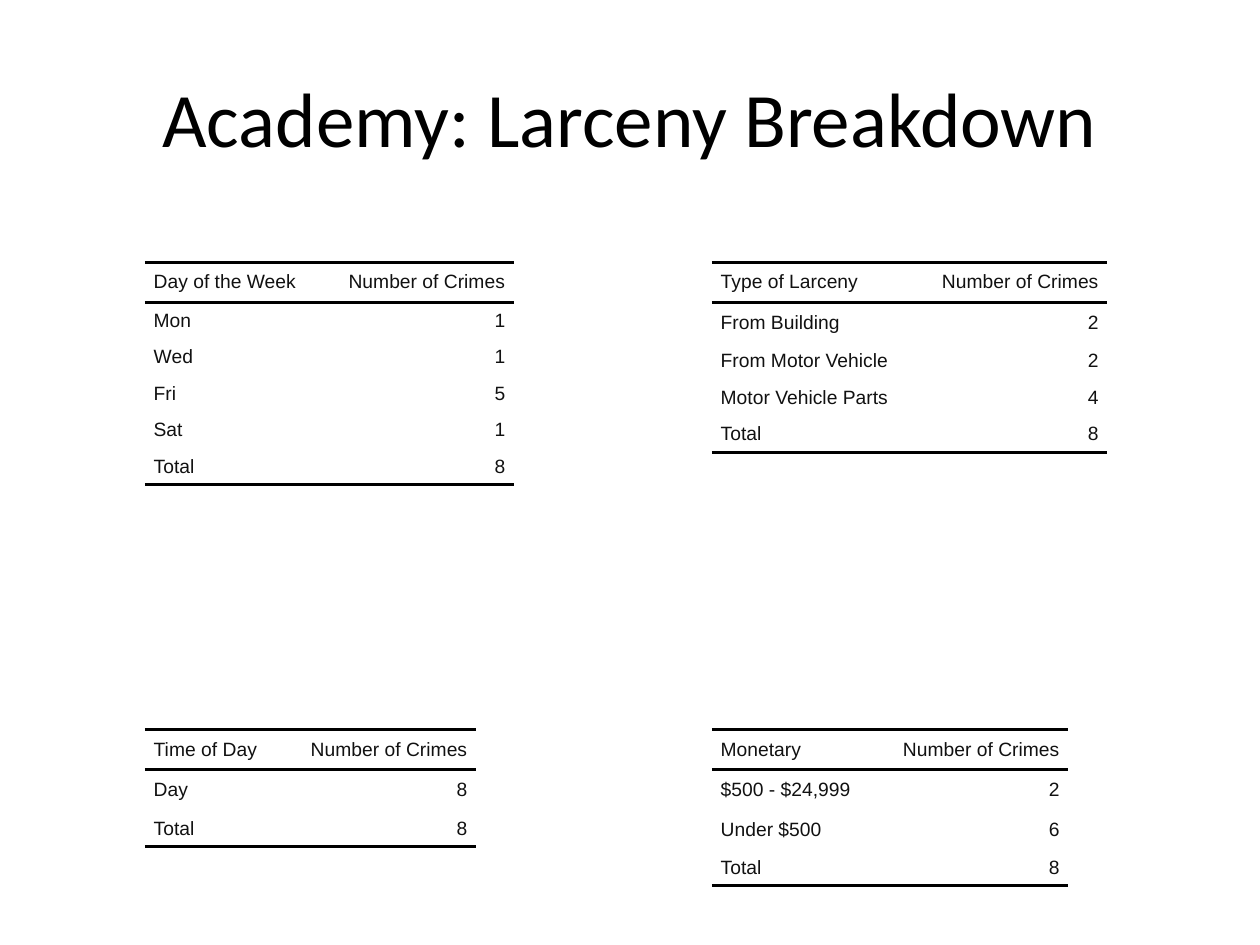
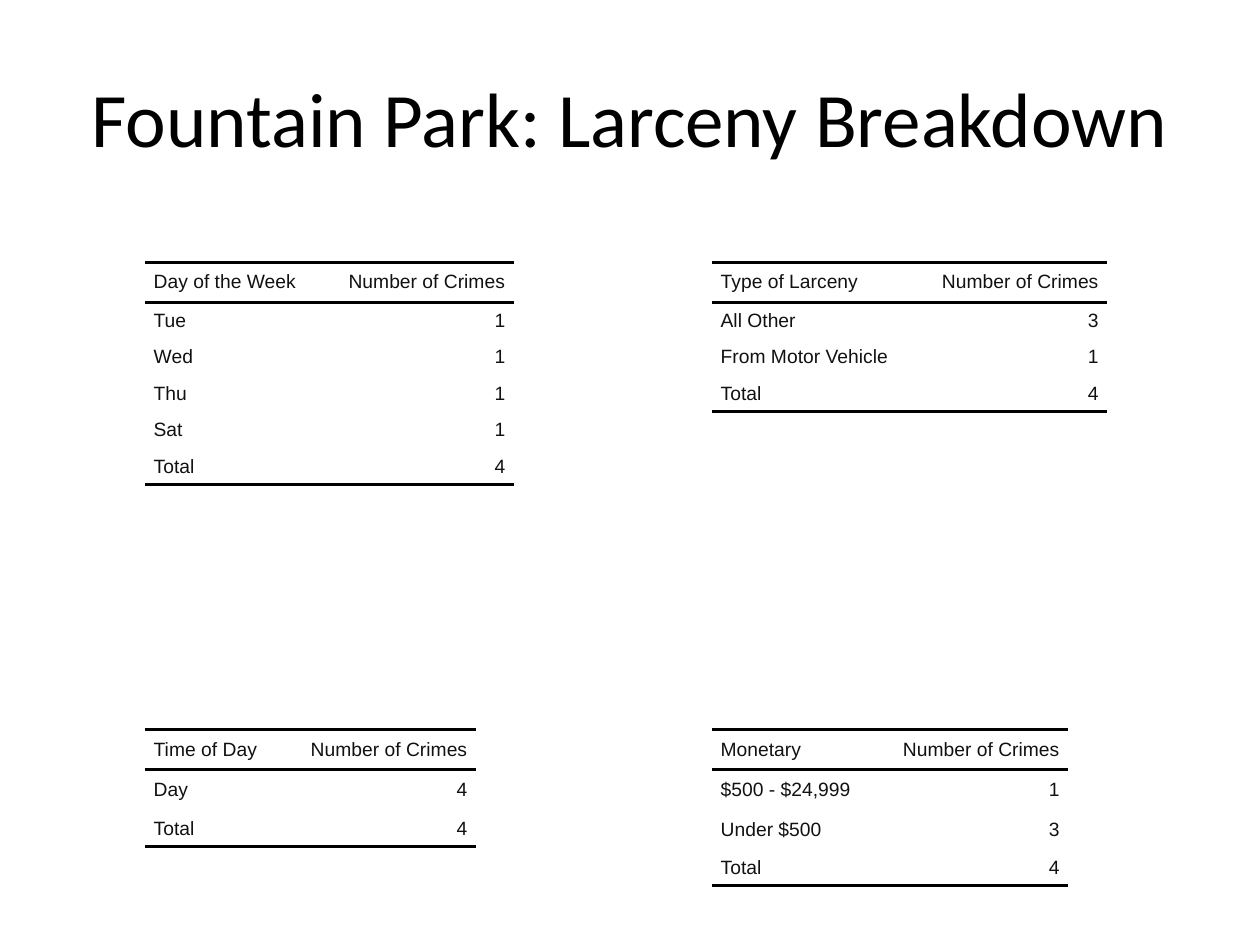
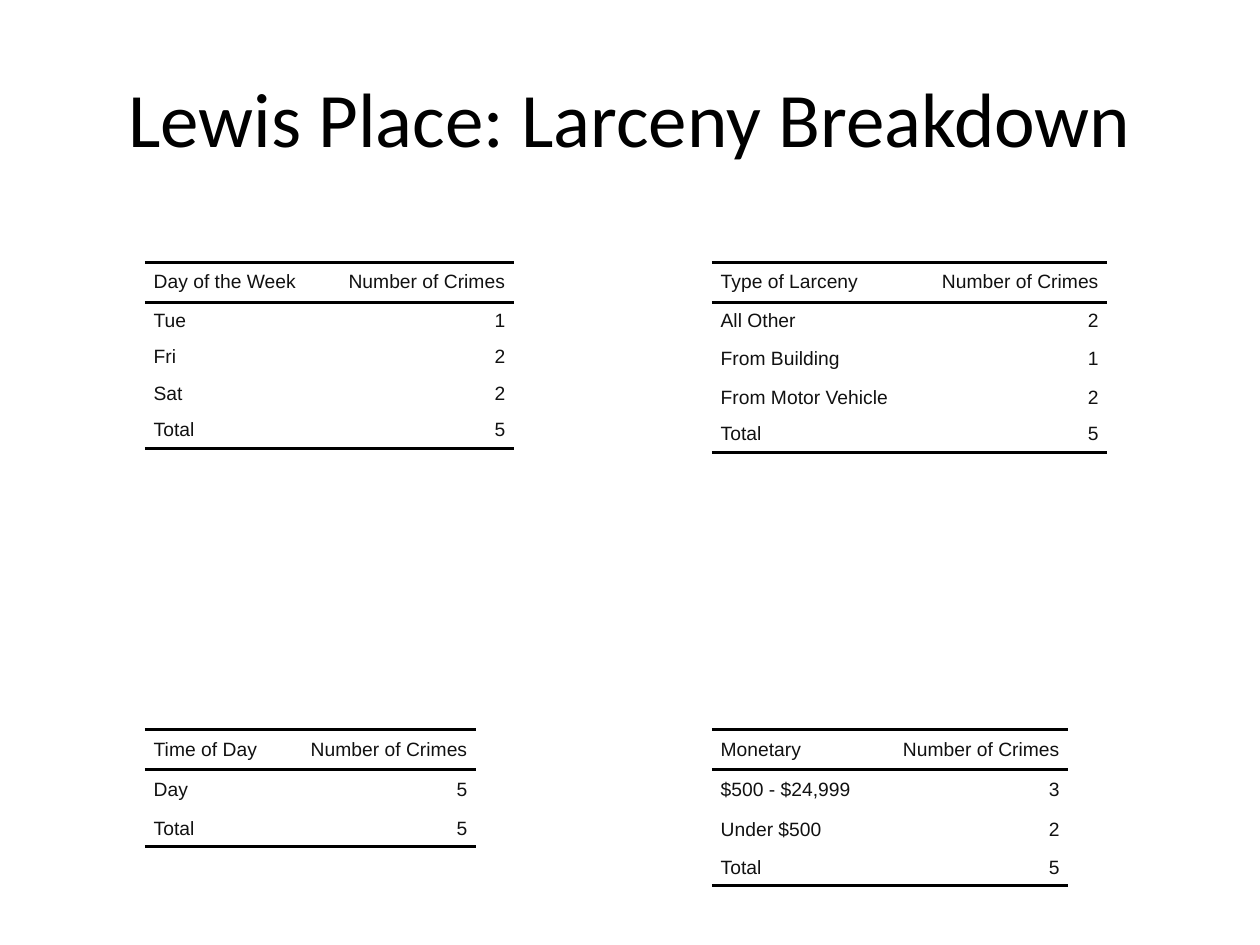
from dataclasses import dataclass

from lxml import etree
from pptx import Presentation
from pptx.dml.color import RGBColor
from pptx.enum.text import MSO_ANCHOR, PP_ALIGN
from pptx.oxml.ns import qn
from pptx.util import Inches, Pt

MIDDLE = MSO_ANCHOR.MIDDLE
LEFT, CENTER, RIGHT = PP_ALIGN.LEFT, PP_ALIGN.CENTER, PP_ALIGN.RIGHT
NO_STYLE_NO_GRID = "{2D5ABB26-0587-4C30-8999-92F81FD0307C}"


@dataclass(frozen=True)
class Theme:
    title_font: str = "Calibri"
    title_size: int = 44
    title_color: str = "000000"
    table_font: str = "Arial"
    table_size: int = 11
    table_color: str = "111111"
    rule_color: str = "000000"
    rule_width: int = 2


THEME = Theme()

# Table layout: heading, left, top, label column width
TABLES = [
    ("Day of the Week", 1.15, 2.08, 1.41),
    ("Time of Day", 1.15, 5.79, 1.11),
    ("Type of Larceny", 5.65, 2.08, 1.62),
    ("Monetary", 5.65, 5.79, 1.31),
]
COUNT_HEADING = "Number of Crimes"
COUNT_WIDTH = 1.52
ROW_HEIGHT = 0.29
TALL_ROW_HEIGHTS = {
    COUNT_HEADING: 0.32,
    "From Building": 0.32,
    "Day": 0.32,
    "$500 - $24,999": 0.32,
    "Under $500": 0.31,
}
CELL_PADDING = 0.07

# Crime counts for each neighborhood, in the order of TABLES
NEIGHBORHOODS = {
    "Academy": [
        {"Mon": 1, "Wed": 1, "Fri": 5, "Sat": 1},
        {"Day": 8},
        {"From Building": 2, "From Motor Vehicle": 2, "Motor Vehicle Parts": 4},
        {"$500 - $24,999": 2, "Under $500": 6},
    ],
    "Fountain Park": [
        {"Tue": 1, "Wed": 1, "Thu": 1, "Sat": 1},
        {"Day": 4},
        {"All Other": 3, "From Motor Vehicle": 1},
        {"$500 - $24,999": 1, "Under $500": 3},
    ],
    "Lewis Place": [
        {"Tue": 1, "Fri": 2, "Sat": 2},
        {"Day": 5},
        {"All Other": 2, "From Building": 1, "From Motor Vehicle": 2},
        {"$500 - $24,999": 3, "Under $500": 2},
    ],
}


def style_text(paragraph, align, font_name, size, color):
    paragraph.alignment = align
    for run in paragraph.runs:
        run.font.name = font_name
        run.font.size = Pt(size)
        run.font.color.rgb = RGBColor.from_string(color)


def add_rule(cell, side):
    """Draw a horizontal rule on a cell; side is lnT or lnB."""
    line = etree.SubElement(cell._tc.get_or_add_tcPr(), qn(f"a:{side}"),
                            w=str(Pt(THEME.rule_width)))
    fill = etree.SubElement(line, qn("a:solidFill"))
    etree.SubElement(fill, qn("a:srgbClr"), val=THEME.rule_color)


prs = Presentation()
prs.slide_width, prs.slide_height = Inches(10), Inches(7.5)
blank_layout = prs.slide_layouts[6]

for neighborhood, breakdowns in NEIGHBORHOODS.items():
    slide = prs.slides.add_slide(blank_layout)

    # Title
    title = slide.shapes.add_textbox(Inches(0.5), Inches(0.3), Inches(9), Inches(1.25))
    title.text_frame.word_wrap = True
    title.text_frame.vertical_anchor = MIDDLE
    title.text_frame.text = f"{neighborhood}: Larceny Breakdown"
    style_text(title.text_frame.paragraphs[0], CENTER,
               THEME.title_font, THEME.title_size, THEME.title_color)

    # Breakdown tables
    for (heading, left, top, label_width), counts in zip(TABLES, breakdowns):
        rows = [(heading, COUNT_HEADING), *counts.items(), ("Total", sum(counts.values()))]
        heights = [TALL_ROW_HEIGHTS.get(label, ROW_HEIGHT) for label, _ in rows]
        heights[0] = TALL_ROW_HEIGHTS[COUNT_HEADING]
        frame = slide.shapes.add_table(len(rows), 2, Inches(left), Inches(top),
                                       Inches(label_width + COUNT_WIDTH),
                                       Inches(sum(heights)))
        breakdown = frame.table
        breakdown.first_row = breakdown.horz_banding = False
        frame.element.find(f".//{qn('a:tableStyleId')}").text = NO_STYLE_NO_GRID
        breakdown.columns[0].width = Inches(label_width)
        breakdown.columns[1].width = Inches(COUNT_WIDTH)

        for r, row in enumerate(rows):
            breakdown.rows[r].height = Inches(heights[r])
            for c, (value, align) in enumerate(zip(row, (LEFT, RIGHT))):
                cell = breakdown.cell(r, c)
                cell.margin_left = cell.margin_right = Inches(CELL_PADDING)
                cell.margin_top = cell.margin_bottom = 0
                cell.vertical_anchor = MIDDLE
                if r == 0:
                    add_rule(cell, "lnT")
                if r in (0, len(rows) - 1):
                    add_rule(cell, "lnB")
                cell.fill.background()
                cell.text_frame.text = str(value)
                style_text(cell.text_frame.paragraphs[0], align,
                           THEME.table_font, THEME.table_size, THEME.table_color)

prs.save("out.pptx")
